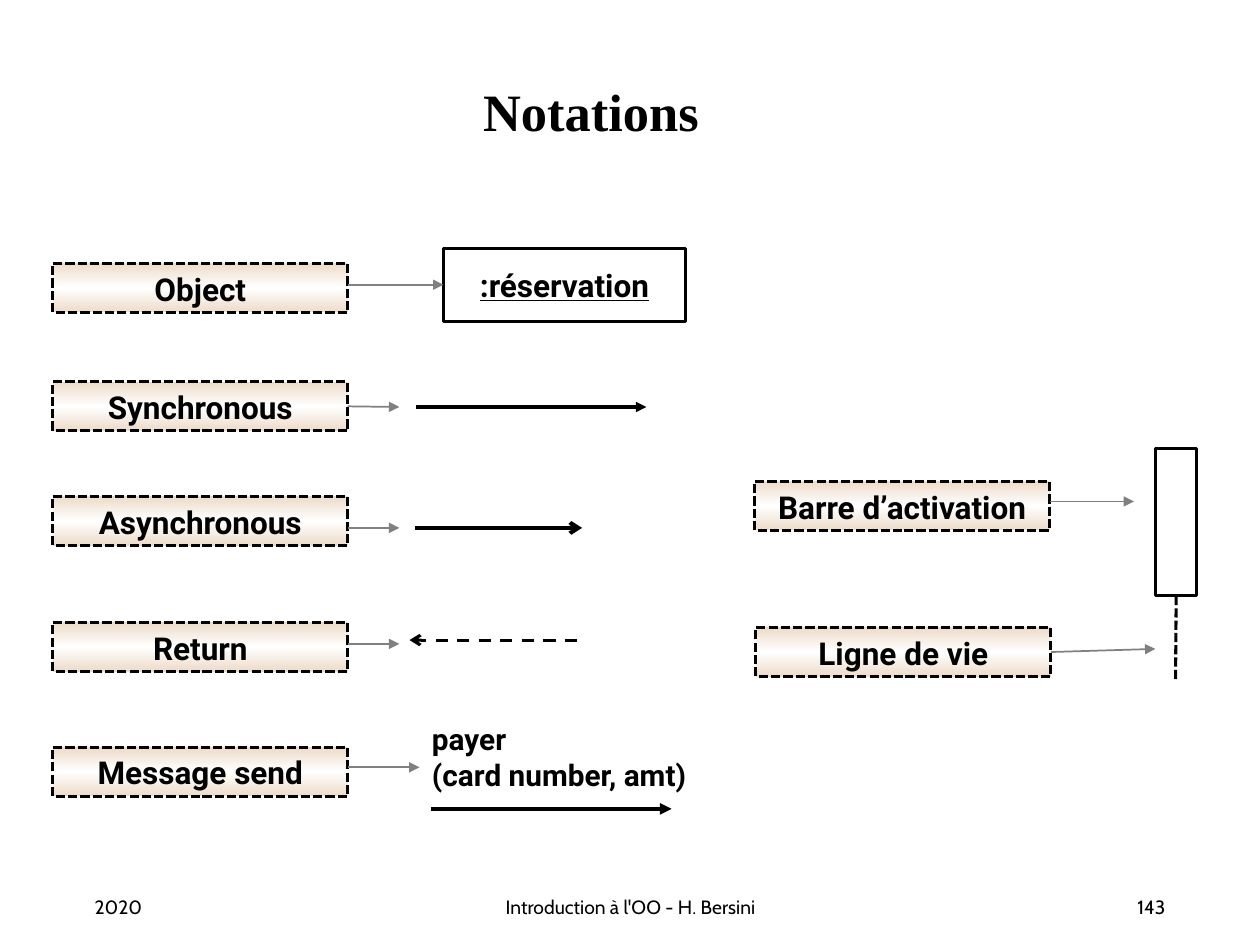
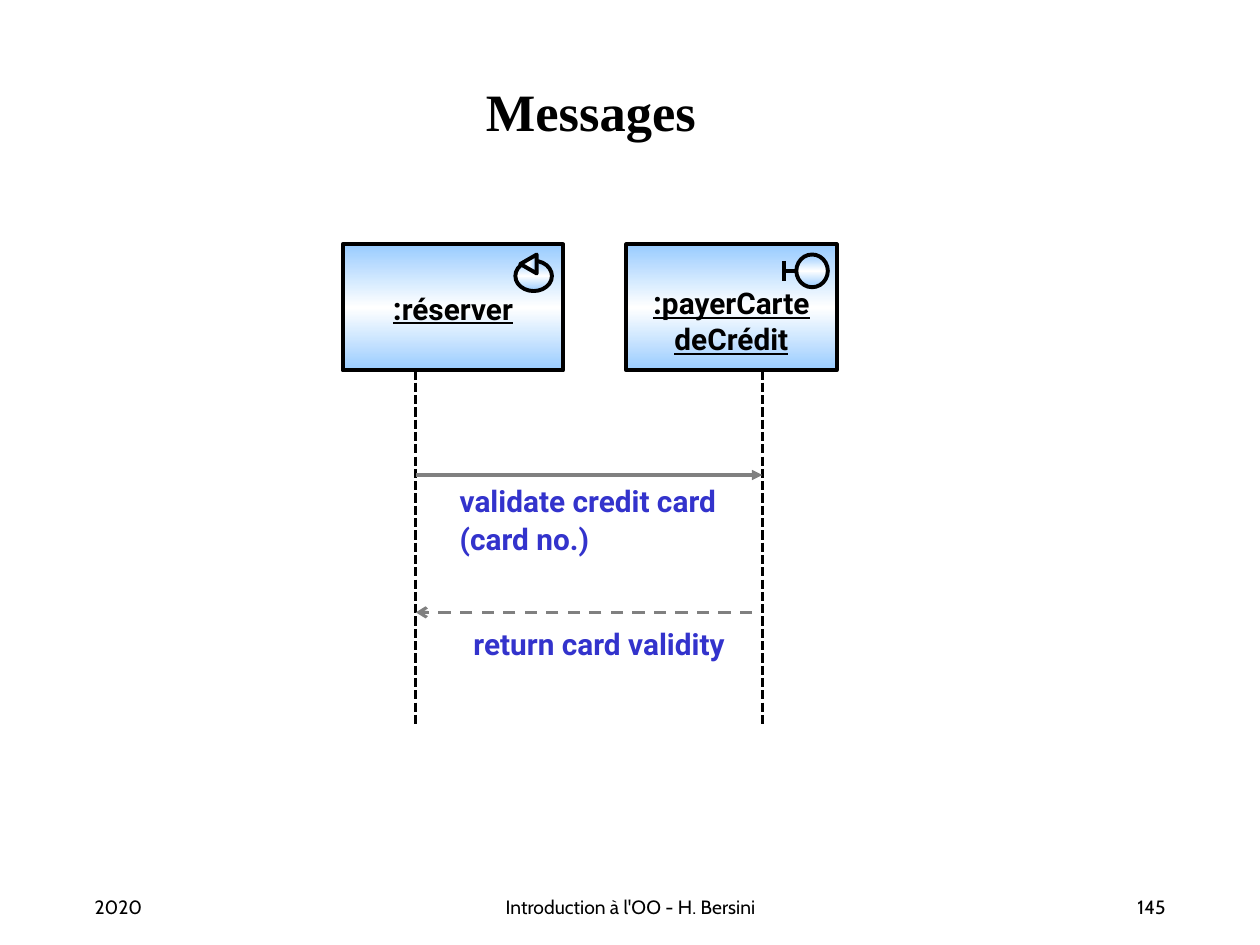
import copy

import pptx
import pptx.util
import pptx.dml.color
import pptx.enum.dml
import pptx.enum.shapes
import pptx.enum.text
import pptx.oxml
import pptx.oxml.ns
from pptx.util import Inches

HUES = {
    "black": "000000", "white": "FFFFFF", "grey": "808080",
    "blue": "3333CC", "sand": "EDDBC9", "sky": "99CCFF",
}
FACES = {"title": "Times New Roman", "body": "Roboto", "foot": "Cabin"}
FORM = pptx.enum.shapes.MSO_SHAPE
SIDE = pptx.enum.text.PP_ALIGN
ROW = pptx.enum.text.MSO_ANCHOR
DASH = pptx.enum.dml.MSO_LINE
DOTS = DASH.SQUARE_DOT  # drawn as sysDot
PAD = (0.1, 0.05, 0.1, 0.05)
FLAT = (0, 0, 0, 0)
TOP, LEFT, BOTTOM, RIGHT = range(4)


def rgb(hue):
    return pptx.dml.color.RGBColor.from_string(HUES[hue])


def put(item, values):
    for key, value in values.items():
        setattr(item, key, value)


class Deck:
    def __init__(self):
        self.show = pptx.Presentation()
        put(self.show, {"slide_width": Inches(10), "slide_height": Inches(7.5)})
        self.slide = None

    def page(self, title, number):
        """Start a slide with its title and footer."""
        self.slide = self.show.slides.add_slide(self.show.slide_layouts[5])
        head = self.slide.shapes.title
        put(head, {"left": Inches(0.44), "top": Inches(0.25),
                   "width": Inches(8.5), "height": Inches(1.25)})
        self.letter(head.text_frame, [title], face="title", size=30,
                    pad=FLAT, anchor=ROW.MIDDLE)
        for text, left, width, side in (
            ("2020", 0.75, 2.08, SIDE.LEFT),
            ("Introduction à l'OO - H. Bersini", 3.42, 3.17, SIDE.CENTER),
            (number, 7.17, 2.08, SIDE.RIGHT),
        ):
            self.text([text], (left, 7.06, width, 0.28), face="foot", size=11,
                      bold=False, side=side, pad=FLAT, anchor=ROW.MIDDLE)

    def letter(self, frame, lines, face="body", size=18, bold=True, under=None,
               hue="black", side=SIDE.CENTER, pad=PAD, anchor=ROW.TOP,
               wrap=True, pitch=1.0):
        """Fill a frame; a line is a string or a list of (text, size) runs."""
        put(frame, {"word_wrap": wrap, "vertical_anchor": anchor})
        edges = ("margin_left", "margin_top", "margin_right", "margin_bottom")
        put(frame, dict(zip(edges, map(Inches, pad))))
        for index, line in enumerate(lines):
            para = frame.add_paragraph() if index else frame.paragraphs[0]
            put(para, {"alignment": side, "line_spacing": pitch})
            for text, points in [(line, size)] if isinstance(line, str) else line:
                run = para.add_run()
                run.text = text
                put(run.font, {"name": FACES[face], "bold": bold, "underline": under,
                               "size": pptx.util.Pt(points)})
                run.font.color.rgb = rgb(hue)

    def text(self, lines, area, **style):
        box = self.slide.shapes.add_textbox(*map(Inches, area))
        self.letter(box.text_frame, lines, **style)

    def stroke(self, line, hue, width, dash):
        line.color.rgb = rgb(hue)
        put(line, {"width": pptx.util.Pt(width), "dash_style": dash})

    def shape(self, area, form=FORM.RECTANGLE, fill=None, blend=None,
              width=1.75, dash=None, turn=0):
        """Add an outlined shape; blend is the edge colour of a gradient."""
        item = self.slide.shapes.add_shape(form, *map(Inches, area))
        item.shadow.inherit = False
        item.rotation = turn
        self.stroke(item.line, "black", width, dash)
        if blend:
            self.shade(item, blend)
        elif fill:
            item.fill.solid()
            item.fill.fore_color.rgb = rgb(fill)
        else:
            item.fill.background()
        return item

    def shade(self, item, edge):
        """Fade vertically from the edge colour to white and back."""
        item.fill.gradient()
        item.fill.gradient_angle = 270
        first = next(item._element.spPr.iter(pptx.oxml.ns.qn("a:gs")))
        first.addnext(copy.deepcopy(first))
        for stop, place, hue in zip(item.fill.gradient_stops, (0, 0.5, 1),
                                    (edge, "white", edge)):
            stop.position = place
            stop.color.rgb = rgb(hue)

    def line(self, start, end, hue="black", width=1.75, dash=None, tip=None,
             tail=None, head=None):
        """Draw a line; tail and head are (shape, side) pairs to join."""
        item = self.slide.shapes.add_connector(
            pptx.enum.shapes.MSO_CONNECTOR.STRAIGHT, *map(Inches, start + end))
        self.stroke(item.line, hue, width, dash)
        if tail:
            item.begin_connect(*tail)
        if head:
            item.end_connect(*head)
        if tip:
            mark = pptx.oxml.parse_xml(
                f'<a:tailEnd {pptx.oxml.ns.nsdecls("a")} type="{tip}"/>')
            item.get_or_add_ln().append(mark)
        item._element.spPr.append(pptx.oxml.parse_xml(
            f'<a:effectLst {pptx.oxml.ns.nsdecls("a")}/>'))

    def label(self, text, left, top):
        item = self.shape((left, top, 2.34, 0.39), blend="sand", dash=DOTS)
        self.letter(item.text_frame, [text])
        return item

    def point(self, start, end, **joins):
        """Draw the thin grey arrow from a label to its symbol."""
        self.line(start, end, "grey", 1, tip="triangle", **joins)


def notations(deck):
    deck.page("Notations", "143")
    thing = deck.shape((3.52, 1.97, 1.92, 0.58))
    deck.letter(thing.text_frame, [":réservation"], under=True,
                anchor=ROW.MIDDLE, wrap=False)
    bar = deck.shape((9.17, 3.56, 0.33, 1.17), fill="white")
    deck.line((9.33, 4.73), (9.33, 5.4), dash=DOTS, tail=(bar, BOTTOM))

    for text, left, top, start, end, tied, goal in (
        ("Object", 0.42, 2.09, 2.26, (3.52, 2.26), False, (thing, LEFT)),
        ("Synchronous", 0.42, 3.03, 3.23, (3.17, 3.23), True, None),
        ("Asynchronous", 0.42, 3.94, 4.19, (3.17, 4.19), False, None),
        ("Return", 0.42, 4.94, 5.11, (3.17, 5.11), False, None),
        ("Message send", 0.42, 5.93, 6.09, (3.33, 6.09), False, None),
        ("Barre d’activation", 5.99, 3.82, 3.98, (9, 3.98), False, None),
        ("Ligne de vie", 6, 4.98, 5.17, (9.17, 5.15), True, None),
    ):
        box = deck.label(text, left, top)
        deck.point((left + 2.34, start), end, head=goal,
                   tail=(box, RIGHT) if tied else None)

    deck.line((3.3, 3.23), (5.13, 3.23), tip="triangle")
    deck.line((3.29, 4.19), (4.62, 4.19), width=2.25, tip="arrow")
    deck.line((4.58, 5.08), (3.25, 5.08), dash=DASH.DASH, tip="arrow")
    deck.line((3.42, 6.42), (5.33, 6.42), width=2.25, tip="triangle")
    deck.text(["payer", "(card number, amt)"], (3.33, 5.67, 2.33, 0.66),
              size=17, side=SIDE.LEFT)


def messages(deck):
    deck.page("Messages", "145")
    near, far = 3.3, 6.05
    for x in (near, far):
        deck.line((x, 2.94), (x, 5.77), dash=DOTS)
    deck.line((near, 3.77), (far, 3.77), "grey", tip="triangle")
    deck.line((5.97, 4.86), (near, 4.86), "grey", dash=DASH.DASH, tip="arrow")
    note = {"size": 17, "hue": "blue"}
    deck.text(["validate credit card (card no.)"], (3.55, 3.77, 2.5, 0.69),
              side=SIDE.LEFT, pitch=1.05, **note)
    deck.text(["return card validity"], (3.63, 4.86, 2.25, 0.44), pitch=1.2, **note)

    for left, width, lines, drop in (
        (2.72, 1.75, [[(":", 18), ("réserver", 17)]], 0),
        (4.97, 1.67, [[(":", 18), ("payerCarte", 17)], [("deCrédit", 17)]], 0.2),
    ):
        box = deck.shape((left, 1.94, width, 1), blend="sky", width=2.25)
        deck.letter(box.text_frame, lines, under=True, pad=(0, drop, 0, 0),
                    anchor=ROW.MIDDLE, wrap=False)

    for area, form, turn in (
        ((4.09, 2.07, 0.29, 0.24), FORM.OVAL, 0),
        ((4.12, 2.03, 0.15, 0.13), FORM.ISOSCELES_TRIANGLE, 270),
        ((6.32, 2.02, 0.25, 0.26), FORM.OVAL, 0),
    ):
        deck.shape(area, form, blend="sky", width=2.25, turn=turn)
    deck.line((6.22, 2.07), (6.22, 2.23), width=2.25)
    deck.line((6.32, 2.15), (6.22, 2.15), width=2.25)


def main():
    deck = Deck()
    notations(deck)
    messages(deck)
    deck.show.save("out.pptx")


if __name__ == "__main__":
    main()
